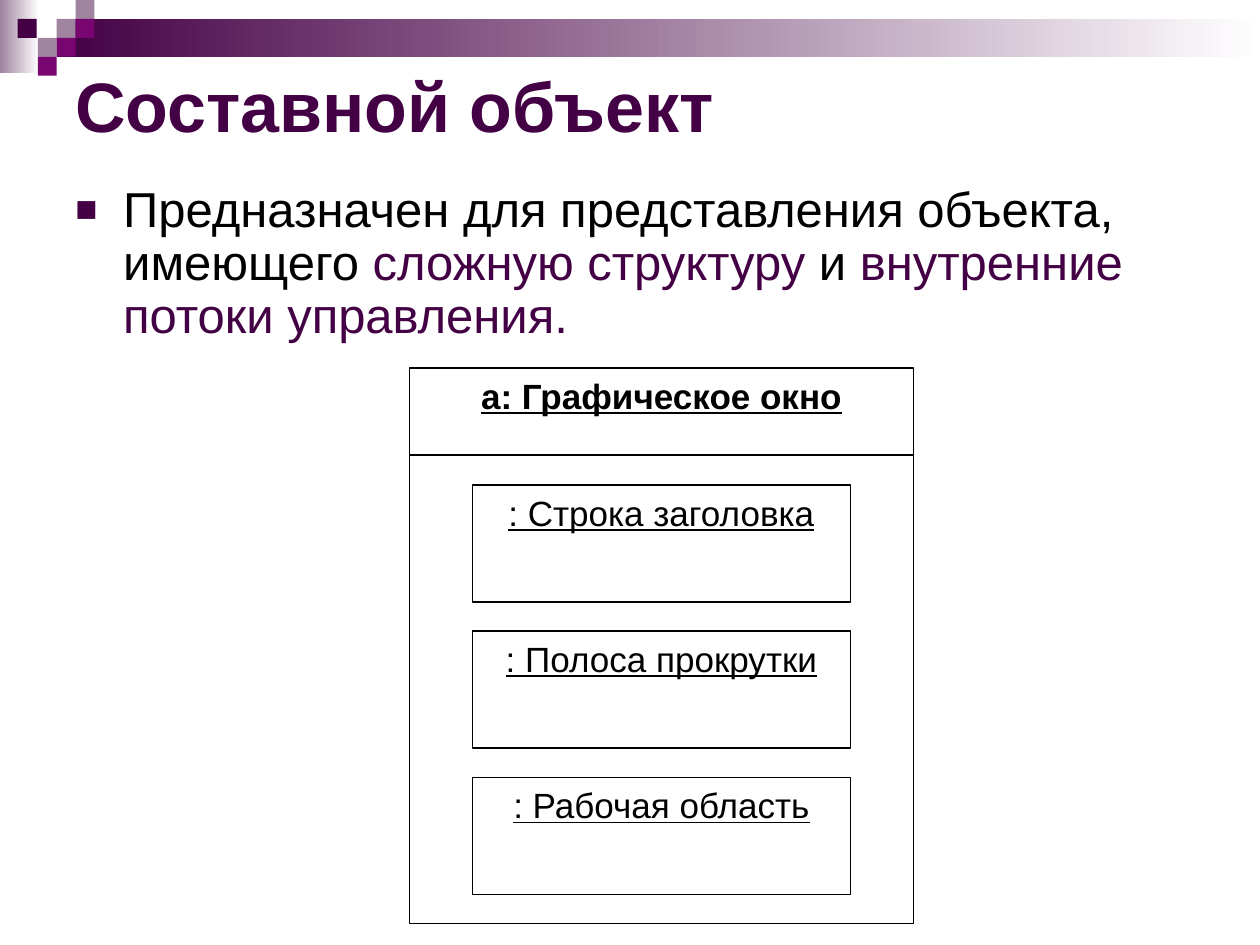
import pptx
import pptx.dml.color
import pptx.enum.shapes
import pptx.enum.text
import pptx.oxml
import pptx.oxml.ns
import pptx.util
from pptx.util import Inches

RGBColor = pptx.dml.color.RGBColor
ANCHOR = pptx.enum.text.MSO_ANCHOR
ALIGN = pptx.enum.text.PP_ALIGN

PLUM = RGBColor(0x44, 0x00, 0x44)
MAGENTA = RGBColor(0x79, 0x05, 0x71)
MAUVE = RGBColor(0x9F, 0x83, 0x9F)
BLACK = RGBColor(0, 0, 0)
WHITE = RGBColor(0xFF, 0xFF, 0xFF)

FONT = "Arial"
TILE = 0.15
TILES = [(0.45, 0.15, MAUVE), (0.6, 0, MAUVE), (0.6, 0.15, MAGENTA),
         (0.3, 0.3, MAUVE), (0.14, 0.15, PLUM), (0.45, 0.3, MAGENTA),
         (0.3, 0.45, MAGENTA)]
PARTS = [": Строка заголовка", ": Полоса прокрутки", ": Рабочая область"]


def add_rect(slide, left, top, width, height):
    s = slide.shapes.add_shape(pptx.enum.shapes.MSO_SHAPE.RECTANGLE,
                               Inches(left), Inches(top), Inches(width), Inches(height))
    s.shadow.inherit = False
    s.line.fill.background()
    return s


def add_fade(slide, left, top, width, height, color):
    """Band fading from color on the left to white on the right."""
    s = add_rect(slide, left, top, width, height)
    s.fill.gradient()
    s.fill.gradient_angle = 0
    for stop, stop_color in zip(s.fill.gradient_stops, (color, WHITE)):
        stop.color.rgb = stop_color


def add_tile(slide, left, top, color):
    s = add_rect(slide, left, top, TILE, TILE)
    s.fill.solid()
    s.fill.fore_color.rgb = color


def add_run(p, text, size, color, bold=False, underline=False):
    r = p.add_run()
    r.text = text
    r.font.name = FONT
    r.font.size = pptx.util.Pt(size)
    r.font.color.rgb = color
    r.font.bold = bold
    r.font.underline = underline


def add_text_box(slide, left, top, width, height, anchor):
    s = slide.shapes.add_textbox(Inches(left), Inches(top), Inches(width), Inches(height))
    tf = s.text_frame
    tf.word_wrap = True
    tf.vertical_anchor = anchor
    return tf.paragraphs[0]


def set_bullet(p, char, color, percent):
    pPr = p._p.get_or_add_pPr()
    indent = Inches(0.38)
    pPr.set("marL", str(indent))
    pPr.set("indent", str(-indent))
    ns = pptx.oxml.ns.nsdecls("a")
    for xml in (f'<a:buClr {ns}><a:srgbClr val="{color}"/></a:buClr>',
                f'<a:buSzPct {ns} val="{percent * 1000}"/>',
                f'<a:buFont {ns} typeface="{FONT}"/>',
                f'<a:buChar {ns} char="{char}"/>'):
        pPr.append(pptx.oxml.parse_xml(xml))


def add_object_box(slide, left, top, width, height, text="", bold=False):
    s = add_rect(slide, left, top, width, height)
    s.fill.solid()
    s.fill.fore_color.rgb = WHITE
    s.line.color.rgb = BLACK
    s.line.width = pptx.util.Pt(1)
    if text:
        tf = s.text_frame
        tf.word_wrap = True
        tf.vertical_anchor = ANCHOR.TOP
        p = tf.paragraphs[0]
        p.alignment = ALIGN.CENTER
        add_run(p, text, 20, BLACK, bold, underline=True)


def add_header_decor(slide):
    add_fade(slide, 0, 0, 0.31, 0.58, MAUVE)
    add_fade(slide, 0.45, 0.15, 9.55, 0.3, PLUM)
    for left, top, color in TILES:
        add_tile(slide, left, top, color)


def add_body(slide):
    p = add_text_box(slide, 0.5, 1.42, 9, 1.43, ANCHOR.TOP)
    set_bullet(p, "■", PLUM, 75)
    p.line_spacing = 0.9
    for text, color in (("Предназначен для представления объекта, имеющего ", BLACK),
                        ("сложную структуру", PLUM),
                        (" и ", BLACK),
                        ("внутренние потоки управления.", PLUM)):
        add_run(p, text, 28, color)


def add_composite_object(slide):
    add_object_box(slide, 3.25, 2.92, 4, 0.7, "а: Графическое окно", bold=True)
    add_object_box(slide, 3.25, 3.61, 4, 3.72)
    for i, text in enumerate(PARTS):
        add_object_box(slide, 3.75, 3.85 + 1.16 * i, 3, 0.93, text)


def main():
    prs = pptx.Presentation()
    prs.slide_width = Inches(10)
    prs.slide_height = Inches(7.5)
    slide = prs.slides.add_slide(prs.slide_layouts[6])
    add_header_decor(slide)
    title = add_text_box(slide, 0.5, 0.33, 9, 1, ANCHOR.MIDDLE)
    add_run(title, "Составной объект", 40, PLUM, bold=True)
    add_body(slide)
    add_composite_object(slide)
    prs.save("out.pptx")


if __name__ == "__main__":
    main()
